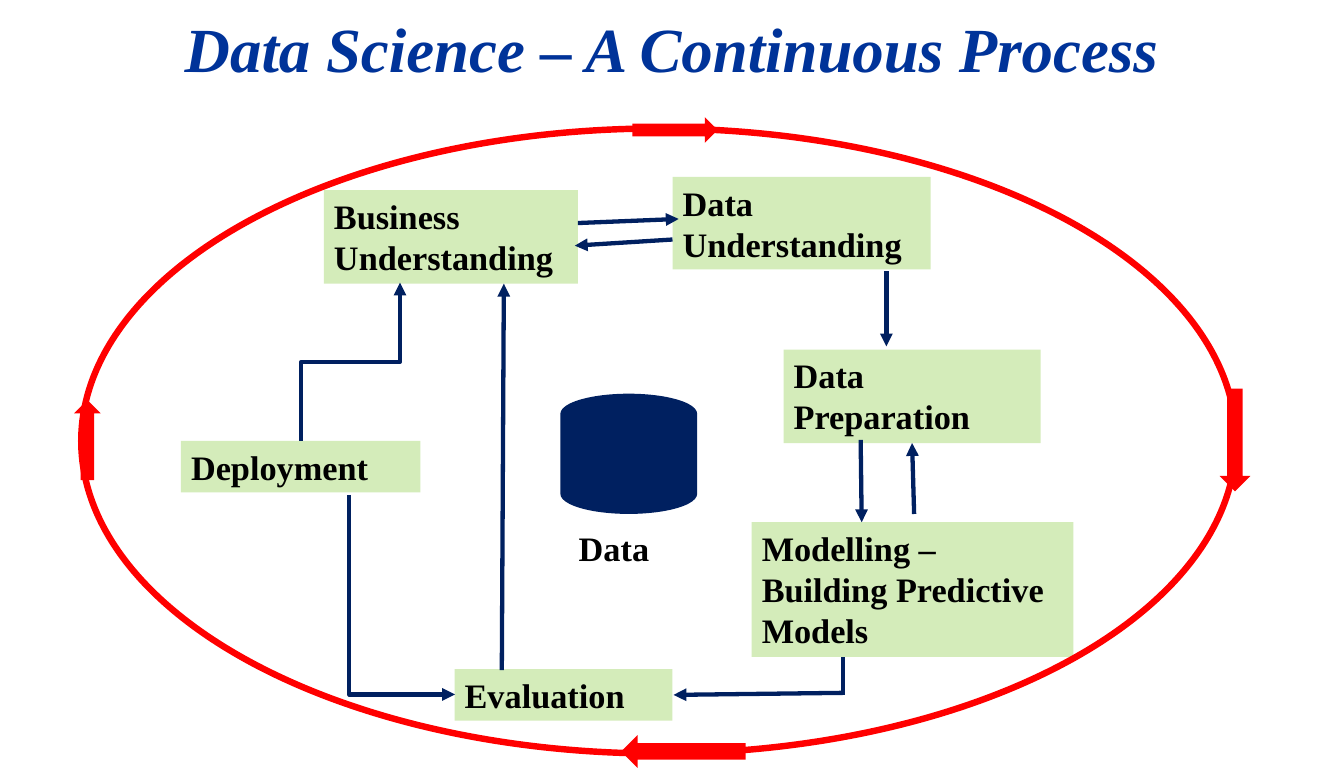
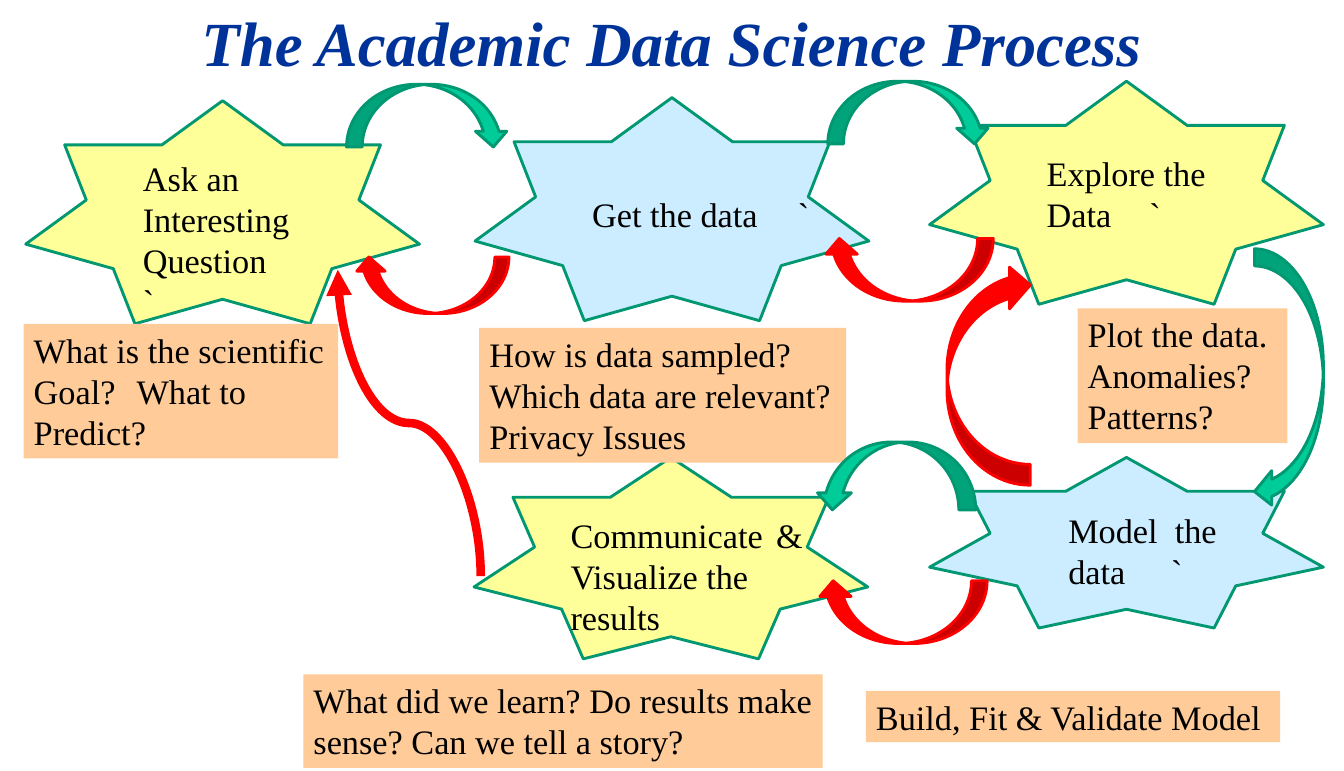
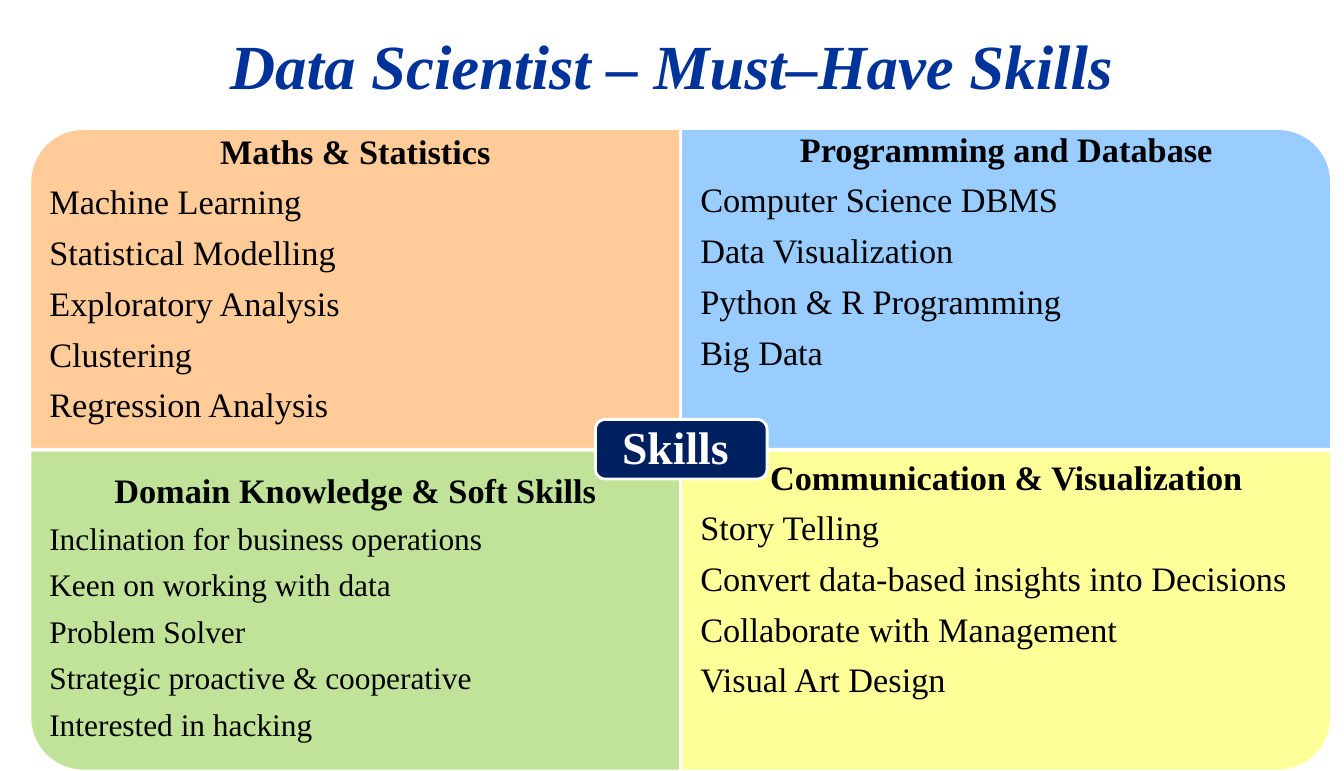
import pptx
import pptx.util
import pptx.dml.color
import pptx.enum.shapes
import pptx.enum.text
import pptx.oxml.ns
import pptx.oxml.xmlchemy
from dataclasses import dataclass

Inches = pptx.util.Inches
Pt = pptx.util.Pt
Shape = pptx.enum.shapes.MSO_SHAPE
Link = pptx.enum.shapes.MSO_CONNECTOR
Align = pptx.enum.text.PP_ALIGN
Anchor = pptx.enum.text.MSO_ANCHOR
Color = pptx.dml.color.RGBColor.from_string
Node = pptx.oxml.xmlchemy.OxmlElement
qn = pptx.oxml.ns.qn


@dataclass(frozen=True)
class Theme:
    font: str = "Times New Roman"
    title: str = "003399"
    ink: str = "000000"
    white: str = "FFFFFF"
    navy: str = "002060"
    red: str = "FF0000"
    lime: str = "D4ECBA"
    peach: str = "FFCC99"
    lemon: str = "FFFF99"
    ice: str = "CCECFF"
    teal: str = "00CC99"
    edge: str = "009771"
    sky: str = "99CCFF"
    leaf: str = "C0E399"
    head: int = 44
    badge: int = 32
    body: int = 24
    small: int = 22


theme = Theme()


def put(page, kind, at, fill=None, line=None, width=2, flip="", turn=0):
    shape = page.shapes.add_shape(kind, *map(Inches, at))
    shape.shadow.inherit = False
    if fill:
        shape.fill.solid()
        shape.fill.fore_color.rgb = Color(fill)
    else:
        shape.fill.background()
    if line:
        shape.line.color.rgb = Color(line)
        shape.line.width = Pt(width)
    else:
        shape.line.fill.background()
    frame = shape._element.spPr.find(qn("a:xfrm"))
    for axis in flip:
        frame.set("flip" + axis.upper(), "1")
    shape.rotation = turn
    return shape


def write(shape, rows, size=theme.body, color=theme.ink, bold=False,
          italic=False, align=Align.LEFT, anchor=Anchor.TOP):
    frame = shape.text_frame
    frame.word_wrap = True
    frame.vertical_anchor = anchor
    for i, row in enumerate(rows):
        para = frame.paragraphs[0] if i == 0 else frame.add_paragraph()
        para.alignment = align
        if "\t" in row:
            tabs = Node("a:tabLst")
            for stop in (1, 2):
                tab = Node("a:tab")
                tab.set("pos", str(Inches(stop)))
                tab.set("algn", "l")
                tabs.append(tab)
            para._p.get_or_add_pPr().append(tabs)
        run = para.add_run()
        run.text = row
        run.font.name = theme.font
        run.font.size = Pt(size)
        run.font.bold = bold
        run.font.italic = italic
        run.font.color.rgb = Color(color)
    return frame


deck = pptx.Presentation()
deck.slide_width = Inches(13.07)
deck.slide_height = Inches(7.5)

pages = []
for title, high in [
    ("Data Science – A Continuous Process", 0.93),
    ("The Academic Data Science Process", 0.8),
    ("Data Scientist – Must–Have Skills", 1.25),
]:
    page = deck.slides.add_slide(deck.slide_layouts[6])
    box = page.shapes.add_textbox(0, 0, deck.slide_width, Inches(high))
    write(box, [title], theme.head, theme.title, True, True,
          Align.CENTER, Anchor.MIDDLE)
    pages.append(page)
cycle, study, skills = pages

for rows, at in [
    (["Business Understanding"], (3.15, 1.85, 2.47, 0.91)),
    (["Data", "Understanding"], (6.54, 1.72, 2.51, 0.9)),
    (["Data", "Preparation"], (7.62, 3.4, 2.5, 0.91)),
    (["Modelling – Building Predictive Models"], (7.31, 5.08, 3.13, 1.31)),
    (["Evaluation"], (4.42, 6.51, 2.12, 0.5)),
    (["Deployment"], (1.76, 4.29, 2.33, 0.5)),
]:
    write(put(cycle, Shape.RECTANGLE, at, theme.lime), rows, bold=True)

put(cycle, Shape.FLOWCHART_MAGNETIC_DISK, (5.45, 3.83, 1.33, 1.17), theme.navy)
label = cycle.shapes.add_textbox(*map(Inches, (5.53, 5.08, 1.07, 0.5)))
write(label, ["Data"], bold=True)

put(cycle, Shape.OVAL, (0.79, 1.25, 11.23, 6.08), line=theme.red, width=4.5)
for kind, at in [
    (Shape.RIGHT_ARROW, (6.15, 1.14, 0.83, 0.25)),
    (Shape.DOWN_ARROW, (11.86, 3.78, 0.3, 1)),
    (Shape.LEFT_ARROW, (6.04, 7.15, 1.21, 0.32)),
    (Shape.UP_ARROW, (0.72, 3.89, 0.26, 0.78)),
]:
    put(cycle, kind, at, theme.red)

for at, fill in [
    ((0.25, 0.98, 3.83, 2.17), theme.lemon),
    ((4.62, 0.95, 3.83, 2.17), theme.ice),
    ((9.04, 0.79, 3.83, 2.17), theme.lemon),
    ((9.04, 4.45, 3.83, 1.66), theme.ice),
    ((4.61, 4.45, 3.83, 1.96), theme.lemon),
]:
    put(study, Shape.STAR_7_POINT, at, fill, theme.edge)

for text, at in [
    ("Ask an Interesting Question\t`", (1.29, 1.48, 1.75, 1.72)),
    ("Get the data\t`", (5.66, 1.83, 2.38, 0.5)),
    ("Explore the Data\t`", (10.08, 1.43, 1.75, 0.91)),
    ("Model  the data\t`", (10.29, 4.9, 1.75, 0.91)),
    ("Communicate \t& Visualize the results", (5.45, 4.95, 2.58, 1.31)),
]:
    write(study.shapes.add_textbox(*map(Inches, at)), [text])

for rows, at in [
    (["What is the scientific Goal?\tWhat to Predict?"],
     (0.23, 3.15, 3.06, 1.31)),
    (["How is data sampled?", "Which data are relevant?", "Privacy Issues"],
     (4.66, 3.19, 3.57, 1.31)),
    (["Plot the data. Anomalies? Patterns?"], (10.48, 3, 2.04, 1.31)),
    (["Build, Fit & Validate Model"], (8.42, 6.72, 4.03, 0.5)),
    (["What did we learn? Do results make sense? Can we tell a story?"],
     (2.95, 6.56, 5.05, 0.91)),
]:
    write(put(study, Shape.RECTANGLE, at, theme.peach), rows)

down, left = Shape.CURVED_DOWN_ARROW, Shape.CURVED_LEFT_ARROW
for kind, at, flip in [
    (down, (3.37, 0.82, 1.58, 0.61), ""),
    (down, (8.05, 0.79, 1.58, 0.61), ""),
    (left, (12.2, 2.42, 0.67, 2.53), ""),
    (down, (7.93, 4.3, 1.56, 0.66), "h"),
    (down, (3.45, 2.5, 1.5, 0.55), "hv"),
    (down, (8.01, 2.32, 1.65, 0.61), "hv"),
    (left, (9.21, 2.57, 0.81, 2.15), "hv"),
    (down, (7.95, 5.65, 1.65, 0.61), "hv"),
]:
    back = flip == "hv"
    put(study, kind, at, theme.red if back else theme.teal,
        theme.red if back else theme.edge, flip=flip)

for page, kind, ends, turn, flip, tip in [
    (cycle, "line", (5.62, 2.17, 6.6, 2.13), 0, "", True),
    (cycle, "line", (6.54, 2.33, 5.59, 2.39), 0, "", True),
    (cycle, "line", (8.62, 2.64, 8.62, 3.37), 0, "", True),
    (cycle, "line", (8.37, 4.28, 8.38, 5.08), 0, "", True),
    (cycle, "line", (8.89, 5, 8.87, 4.31), 0, "", True),
    (cycle, "line", (4.88, 6.52, 4.9, 2.76), 0, "", True),
    (cycle, "bentConnector2", (2.94, 5.27, 4.88, 6.3), 270, "h", True),
    (cycle, "bentConnector3", (2.64, 3.04, 4.18, 4), 90, "hv", True),
    (cycle, "line", (8.2, 6.74, 6.55, 6.76), 0, "", True),
    (cycle, "line", (8.2, 6.76, 8.2, 6.39), 0, "", False),
    (study, "curvedConnector3", (2.49, 3.42, 5.47, 4.81), 270, "v", True),
]:
    link = page.shapes.add_connector(Link.STRAIGHT, *map(Inches, ends))
    link.line.color.rgb = Color(theme.navy if page is cycle else theme.red)
    link.line.width = Pt(3 if page is cycle else 6)
    prop = link._element.spPr
    prop.find(qn("a:prstGeom")).set("prst", kind)
    frame = prop.find(qn("a:xfrm"))
    if turn:
        frame.set("rot", str(turn * 60000))
    for axis in flip:
        frame.set("flip" + axis.upper(), "1")
    if tip:
        tail = Node("a:tailEnd")
        tail.set("type", "triangle")
        prop.find(qn("a:ln")).append(tail)
    prop.append(Node("a:effectLst"))

wide, high = 6.33, 3.12
for i, (fill, turn, top, size, head, rows) in enumerate([
    (theme.peach, 270, 1.31, theme.body, "Maths & Statistics",
     ["Machine Learning", "Statistical Modelling", "Exploratory Analysis",
      "Clustering", "Regression Analysis"]),
    (theme.sky, 0, 1.29, theme.body, "Programming and Database",
     ["Computer Science DBMS", "Data Visualization",
      "Python & R Programming", "Big Data"]),
    (theme.leaf, 180, 4.61, theme.small, "Domain Knowledge & Soft Skills",
     ["Inclination for business operations", "Keen on working with data",
      "Problem Solver", "Strategic proactive & cooperative",
      "Interested in hacking"]),
    (theme.lemon, 90, 4.48, theme.body, "Communication & Visualization",
     ["Story Telling", "Convert data-based insights into Decisions",
      "Collaborate with Management", "Visual Art Design"]),
]):
    x = 0.29 + i % 2 * wide
    y = 1.25 + i // 2 * (high + 0.01)
    at = (x, y, wide, high)
    if turn % 180:
        at = (x + (wide - high) / 2, y - (wide - high) / 2, high, wide)
    put(skills, Shape.ROUND_1_RECTANGLE, at, fill, theme.white, turn=turn)
    box = skills.shapes.add_textbox(*map(Inches, (x, top, wide, 2.8)))
    frame = write(box, [head] + rows, size)
    frame.margin_left = frame.margin_right = Inches(0.19)
    frame.margin_top = frame.margin_bottom = 0
    for para in frame.paragraphs:
        para.line_spacing = 0.9
        para.space_after = Pt(size * 0.4)
    first = frame.paragraphs[0]
    first.alignment = Align.CENTER
    first.runs[0].font.size = Pt(theme.body)
    first.runs[0].font.bold = True

badge = put(skills, Shape.ROUNDED_RECTANGLE, (5.79, 4.08, 1.67, 0.58),
            theme.navy, theme.white)
frame = write(badge, ["Skills "], theme.badge, theme.white, True,
              align=Align.CENTER, anchor=Anchor.MIDDLE)
frame.margin_top = frame.margin_bottom = 0
frame.paragraphs[0].line_spacing = 0.9

deck.save("out.pptx")
